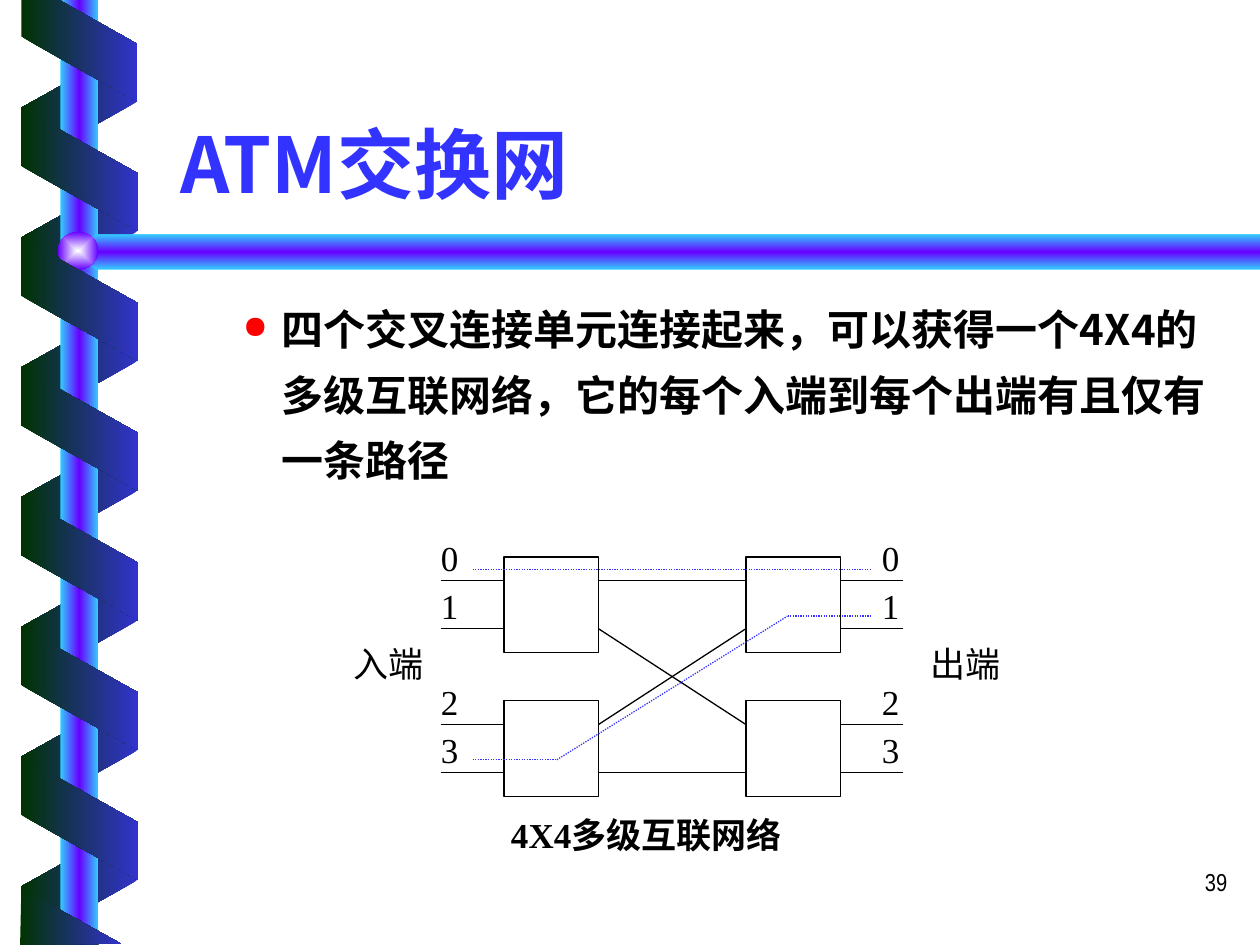
from lxml import etree
from pptx import Presentation
from pptx.dml.color import RGBColor
from pptx.enum.dml import MSO_LINE
from pptx.enum.shapes import MSO_CONNECTOR, MSO_SHAPE
from pptx.enum.text import MSO_ANCHOR, MSO_AUTO_SIZE, PP_ALIGN
from pptx.oxml import parse_xml
from pptx.oxml.ns import nsdecls, qn
from pptx.util import Inches, Pt

RECT, OVAL, BAND = MSO_SHAPE.RECTANGLE, MSO_SHAPE.OVAL, MSO_SHAPE.PARALLELOGRAM
LEFT, CENTER, RIGHT = PP_ALIGN.LEFT, PP_ALIGN.CENTER, PP_ALIGN.RIGHT
TOP, MIDDLE, BOTTOM = MSO_ANCHOR.TOP, MSO_ANCHOR.MIDDLE, MSO_ANCHOR.BOTTOM
STRAIGHT = MSO_CONNECTOR.STRAIGHT
DOTTED = MSO_LINE.ROUND_DOT
NO_FIT = MSO_AUTO_SIZE.NONE

SANS, SERIF, NARROW = "Noto Sans CJK SC", "Times New Roman", "Arial Narrow"
BLACK, BLUE, RED = "000000", "3333FF", "FF0000"
GREEN_TO_BLUE = [(0, "003300"), (100, "3333CC")]
BLUE_TO_GREEN = [(0, "3333CC"), (100, "003300")]
NEON = [(0, "33CCFF"), (50, "6600FF"), (100, "33CCFF")]
GLOW = [(0, "FEFFFF"), (100, "6600FF")]
LINEAR_ACROSS = '<a:lin ang="0" scaled="0"/>'
LINEAR_DOWN = '<a:lin ang="5400000" scaled="0"/>'
FROM_CENTER = ('<a:path path="rect"><a:fillToRect l="50000" t="50000" '
               'r="50000" b="50000"/></a:path>')


def color(value):
    return RGBColor.from_string(value)


class SlideBuilder:
    def __init__(self, slide):
        self.slide = slide
        self.shapes = slide.shapes

    def gradient(self, shape, stops, direction=LINEAR_ACROSS):
        shape.shadow.inherit = False
        shape.line.fill.background()
        shape.fill.background()
        marks = "".join(
            f'<a:gs pos="{pos * 1000}"><a:srgbClr val="{value}"/></a:gs>'
            for pos, value in stops)
        properties = shape._element.spPr
        properties.replace(properties.find(qn("a:noFill")), parse_xml(
            f'<a:gradFill {nsdecls("a")} rotWithShape="0">'
            f'<a:gsLst>{marks}</a:gsLst>{direction}</a:gradFill>'))

    def preset(self, kind, left, top, width, height):
        return self.shapes.add_shape(
            kind, Inches(left), Inches(top), Inches(width), Inches(height))

    def ribbon(self, top, height, rotation, stops, flip=False):
        band = self.preset(BAND, 0.14, top, 0.98, height)
        band.adjustments[0] = 0.56
        band.rotation = rotation
        if flip:
            band._element.spPr.find(qn("a:xfrm")).set("flipH", "1")
        self.gradient(band, stops)

    def outline(self, points, stops, direction=LINEAR_ACROSS):
        start, *others = [(Inches(x), Inches(y)) for x, y in points]
        builder = self.shapes.build_freeform(*start)
        builder.add_line_segments(others, close=True)
        self.gradient(builder.convert_to_shape(), stops, direction)

    def box(self, left, top, width, height):
        unit = self.preset(RECT, left, top, width, height)
        unit.shadow.inherit = False
        unit.fill.background()
        unit.line.color.rgb = color(BLACK)
        unit.line.width = Pt(0.75)

    def line(self, start, end, stroke=BLACK, dash=None):
        link = self.shapes.add_connector(
            STRAIGHT, *(Inches(value) for value in (*start, *end)))
        link.line.color.rgb = color(stroke)
        link.line.width = Pt(0.75)
        if dash:
            link.line.dash_style = dash
        etree.SubElement(link._element.spPr, qn("a:effectLst"))

    def fill_text(self, holder, words, size, font, align=LEFT, anchor=TOP,
                  ink=BLACK, bold=False, inset=(0.1, 0.05), bullet=False,
                  wrap=True):
        frame = holder.text_frame
        across, down = (Inches(value) for value in inset)
        frame_format = {
            "word_wrap": wrap, "auto_size": NO_FIT, "vertical_anchor": anchor,
            "margin_left": across, "margin_right": across,
            "margin_top": down, "margin_bottom": down}
        for name, value in frame_format.items():
            setattr(frame, name, value)
        paragraph = frame.paragraphs[0]
        paragraph.alignment = align
        if bullet:
            self.bullet(paragraph)
        run = paragraph.add_run()
        run.text = words
        run.font.color.rgb = color(ink)
        for name, value in {"name": font, "size": Pt(size), "bold": bold}.items():
            setattr(run.font, name, value)
        run.font._element.find(qn("a:latin")).addnext(
            parse_xml(f'<a:ea {nsdecls("a")} typeface="{SANS}"/>'))

    def bullet(self, paragraph):
        paragraph.line_spacing = 1.3
        properties = paragraph._p.get_or_add_pPr()
        properties.set("marL", str(Inches(0.81)))
        properties.set("indent", str(Inches(-0.31)))
        for mark in (f'<a:buClr {nsdecls("a")}><a:srgbClr val="{RED}"/></a:buClr>',
                     f'<a:buSzPct {nsdecls("a")} val="75000"/>',
                     f'<a:buChar {nsdecls("a")} char="●"/>'):
            properties.append(parse_xml(mark))

    def text(self, left, top, width, height, words, size, font, **style):
        holder = self.shapes.add_textbox(
            Inches(left), Inches(top), Inches(width), Inches(height))
        self.fill_text(holder, words, size, font, **style)

    def title(self, left, top, width, height, words, size, font, **style):
        holder = self.shapes.title
        place = {"left": left, "top": top, "width": width, "height": height}
        for name, value in place.items():
            setattr(holder, name, Inches(value))
        self.fill_text(holder, words, size, font, **style)


def draw_spiral(page):
    turn = 1.03
    for index in range(7):
        page.ribbon(0.37 + index * turn, 0.92, 90, BLUE_TO_GREEN, flip=True)
    page.gradient(page.preset(RECT, 0.48, 0, 0.3, 7.5), NEON)
    page.outline([(10, 1.86), (0.76, 1.86), (0.6, 2), (0.76, 2.14), (10, 2.14)],
                 NEON, LINEAR_DOWN)
    page.gradient(page.preset(OVAL, 0.46, 1.84, 0.32, 0.3), GLOW, FROM_CENTER)
    for index in range(6):
        page.ribbon(0.88 + index * turn, 0.93, 270, GREEN_TO_BLUE)
    page.outline([(0.17, 0), (0.17, 0.29), (1.09, 0.81), (1.09, 0.35), (0.47, 0)],
                 GREEN_TO_BLUE)
    page.outline([(0.96, 7.49), (0.17, 7.05), (0.16, 7.5)], GREEN_TO_BLUE)


def draw_network(page):
    unit_tops = (4.42, 5.56)
    wires = [top + offset for top in unit_tops for offset in (0.19, 0.57)]
    label_style = {"anchor": MIDDLE, "inset": (0, 0), "wrap": False}
    for unit_left, wire_left, label_left in ((4, 3.5, 3.5), (5.92, 6.67, 7)):
        for top in unit_tops:
            page.box(unit_left, top, 0.75, 0.76)
        for port, y in enumerate(wires):
            page.line((wire_left, y), (wire_left + 0.5, y))
            page.text(label_left, y - 0.35, 0.17, 0.33, str(port), 20, SERIF,
                      **label_style)
    for left, side in ((2.75, "入端"), (7.33, "出端")):
        page.text(left, 5.1, 0.67, 0.33, side, 20, SERIF, align=CENTER,
                  **label_style)
    for source, target in ((0, 0), (3, 3), (2, 1), (1, 2)):
        page.line((4.75, wires[source]), (5.92, wires[target]))
    routes = ([(3.75, 4.52), (6.92, 4.52)],
              [(3.75, 6.03), (4.42, 6.03), (6.25, 4.89), (6.92, 4.89)])
    for route in routes:
        for start, end in zip(route, route[1:]):
            page.line(start, end, BLUE, DOTTED)
    page.text(3.67, 6.41, 2.92, 0.44, "4X4多级互联网络", 20, SERIF,
              align=CENTER, bold=True)


def main():
    deck = Presentation()
    deck.slide_width, deck.slide_height = Inches(10), Inches(7.5)
    page = SlideBuilder(deck.slides.add_slide(deck.slide_layouts[5]))
    draw_spiral(page)
    page.text(7.76, 6.83, 2.08, 0.5, "39", 14, NARROW, align=RIGHT)
    page.title(1.33, 0.46, 8.5, 1.25, "ATM交换网", 44, SANS,
               anchor=BOTTOM, ink=BLUE, bold=True)
    page.text(1.33, 2.24, 8.5, 1.91,
              "四个交叉连接单元连接起来，可以获得一个4X4的多级互联网络，"
              "它的每个入端到每个出端有且仅有一条路径",
              24, SANS, bold=True, bullet=True)
    draw_network(page)
    deck.save("out.pptx")


if __name__ == "__main__":
    main()
